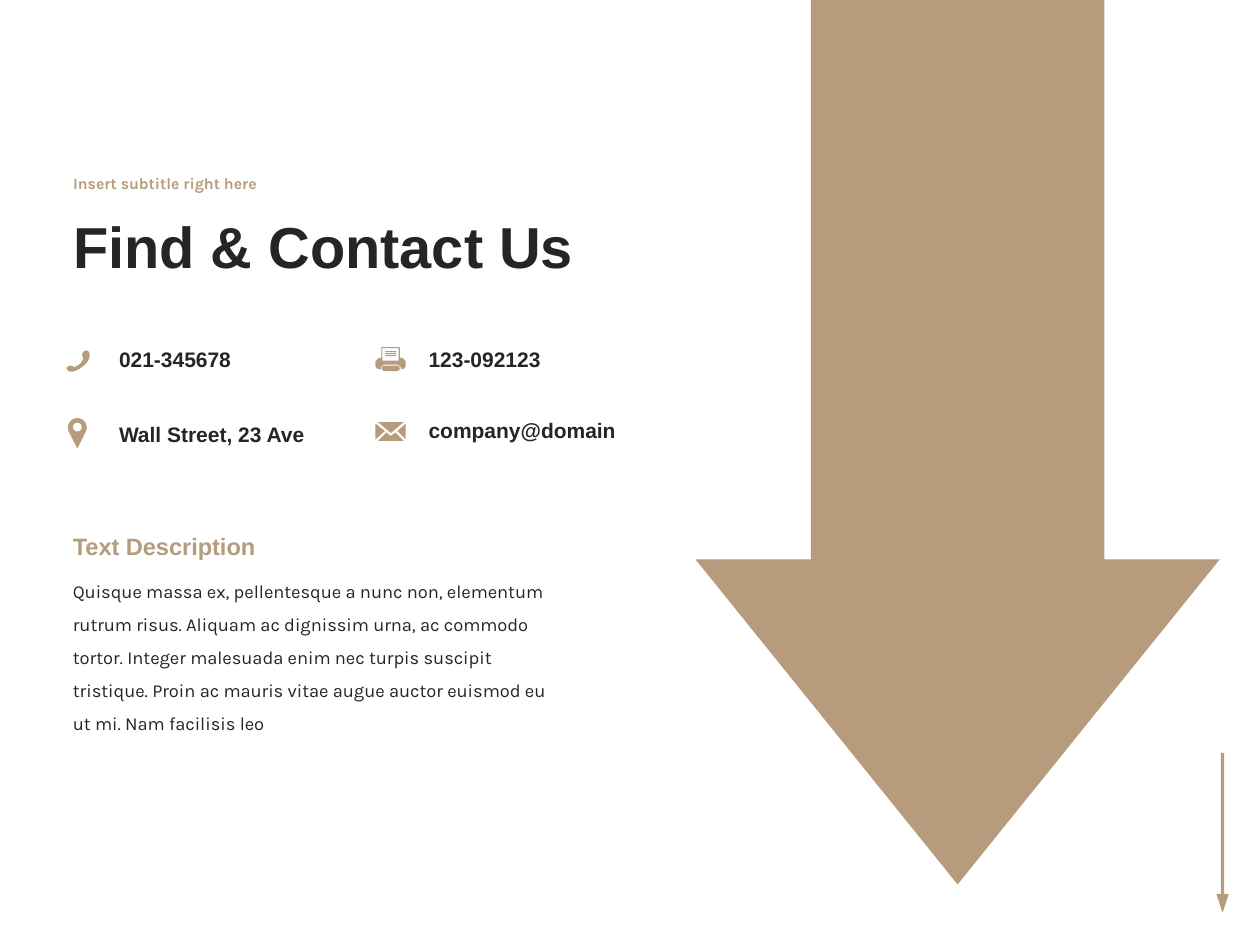
"""Build a contact slide with a large down arrow, contact details and icons."""
import math
from pptx import Presentation, util as u
from pptx.dml.color import RGBColor
from pptx.enum import shapes, text

COLORS = {"tan": "B69B7D", "dark": "242527"}

prs = Presentation()
prs.slide_width, prs.slide_height = u.Cm(25.4), u.Cm(19.05)
s = prs.slides.add_slide(prs.slide_layouts[0])


def paint(sp):
    sp.shadow.inherit = False
    sp.fill.solid()
    sp.fill.fore_color.rgb = RGBColor.from_string(COLORS["tan"])
    sp.line.fill.background()
    return sp


def write(sp, box, words, size, font, color, bold, spacing, anchor):
    sp.left, sp.top, sp.width, sp.height = [u.Cm(v) for v in box]
    tf = sp.text_frame
    tf.word_wrap = True
    tf.auto_size = text.MSO_AUTO_SIZE.NONE
    tf.vertical_anchor = anchor
    tf.text = words
    p = tf.paragraphs[0]
    p.alignment = text.PP_ALIGN.LEFT
    p.line_spacing = spacing
    p.space_before = u.Pt(0)
    p.font.size, p.font.name, p.font.bold = u.Pt(size), font, bold
    p.font.color.rgb = RGBColor.from_string(COLORS[color])


kinds = shapes.MSO_SHAPE
presets = [
    (kinds.RECTANGLE, 24.61, 15.18, 0.07, 2.84),
    (kinds.ISOSCELES_TRIANGLE, 24.52, 18.02, 0.25, 0.38),
    (kinds.ROUNDED_RECTANGLE, 7.7, 7.37, 0.36, 0.11),
]
presets += [(kinds.RECTANGLE, 7.77, y, 0.22, 0.02) for y in (7.08, 7.12, 7.16)]
for kind, *box in presets:
    sp = paint(s.shapes.add_shape(kind, *[u.Cm(v) for v in box]))
    if kind == kinds.ROUNDED_RECTANGLE:
        sp.adjustments[0] = 0.5
    if kind == kinds.ISOSCELES_TRIANGLE:
        sp.rotation = 180

arrow = paint(s.shapes.add_shape(
    kinds.DOWN_ARROW, u.Cm(14.02), u.Cm(-1.12), u.Cm(10.57), u.Cm(18.95)))
arrow.adjustments[0], arrow.adjustments[1] = 0.56, 0.62

middle, top = text.MSO_ANCHOR.MIDDLE, text.MSO_ANCHOR.TOP
write(s.shapes.title, (1.22, 3.72, 14.3, 2.62), "Find & Contact Us",
      33, "Arial", "dark", True, 0.9, middle)
write(s.placeholders[1], (1.22, 3.23, 14.3, 0.97), "Insert subtitle right here",
      9, "Karla", "tan", True, 0.9, middle)

description = (
    "Quisque massa ex, pellentesque a nunc non, elementum rutrum risus. "
    "Aliquam ac dignissim urna, ac commodo tortor. Integer malesuada enim nec "
    "turpis suscipit tristique. Proin ac mauris vitae augue auctor euismod eu "
    "ut mi. Nam facilisis leo")
boxes = [
    ((1.22, 11.35, 10.16, 2.87), description, 10.5, "Karla", "dark", False, 1.5),
    ((1.22, 10.59, 5.56, 0.84), "Text Description", 13.5, "Arial", "tan", True, 1.0),
]
contacts = [
    (2.15, 6.86, 4.19, "021-345678"),
    (8.39, 8.3, 5.84, "company@domain"),
    (8.39, 6.86, 5.84, "123-092123"),
    (2.15, 8.38, 5.13, "Wall Street, 23 Ave"),
]
boxes += [((x, y, w, 0.76), words, 12, "Arial", "dark", True, 1.0)
          for x, y, w, words in contacts]
for box, *style in boxes:
    write(s.shapes.add_textbox(0, 0, 0, 0), box, *style, top)

phone = [(1.68, 7.21), (1.65, 7.16), (1.68, 7.09), (1.74, 7.06), (1.79, 7.09),
         (1.81, 7.14), (1.8, 7.22), (1.76, 7.3), (1.68, 7.38), (1.58, 7.45),
         (1.48, 7.49), (1.4, 7.49), (1.35, 7.45), (1.34, 7.42), (1.38, 7.38),
         (1.43, 7.37), (1.5, 7.4), (1.57, 7.37), (1.63, 7.32), (1.67, 7.26)]
arc = [math.radians(a) for a in range(-30, 211, 15)]
pin = [(1.56 + 0.19 * math.cos(a), 8.62 - 0.19 * math.sin(a)) for a in arc]
pin.append((1.56, 9.04))
circle = [math.radians(a) for a in range(0, 360, 15)]
pin_hole = [(1.56 + 0.09 * math.cos(a), 8.61 + 0.09 * math.sin(a)) for a in circle]
printer = [(7.69, 7.0), (8.06, 7.0), (8.06, 7.21), (8.12, 7.22), (8.18, 7.28),
           (8.18, 7.38), (8.15, 7.43), (8.08, 7.45), (8.08, 7.4), (8.02, 7.35),
           (7.74, 7.35), (7.68, 7.4), (7.68, 7.45), (7.6, 7.43), (7.57, 7.38),
           (7.57, 7.28), (7.63, 7.22), (7.69, 7.21)]
paper = [(7.71, 7.02), (7.71, 7.27), (8.04, 7.27), (8.04, 7.02)]
flap = [(7.62, 8.51), (8.14, 8.51), (7.88, 8.73)]
right_side = [(8.18, 8.54), (8.01, 8.69), (8.18, 8.86)]
left_side = [(7.57, 8.54), (7.76, 8.69), (7.57, 8.86)]
bottom = [(7.88, 8.79), (7.79, 8.72), (7.62, 8.89), (8.14, 8.89), (7.97, 8.72)]

for icon in ([phone], [pin, pin_hole], [printer, paper],
             [flap], [right_side], [left_side], [bottom]):
    outline, *holes = [[(u.Cm(x), u.Cm(y)) for x, y in path] for path in icon]
    fb = s.shapes.build_freeform(*outline[0])
    fb.add_line_segments(outline[1:])
    for hole in holes:
        fb.move_to(*hole[0])
        fb.add_line_segments(hole[1:])
    paint(fb.convert_to_shape())

prs.save("out.pptx")
